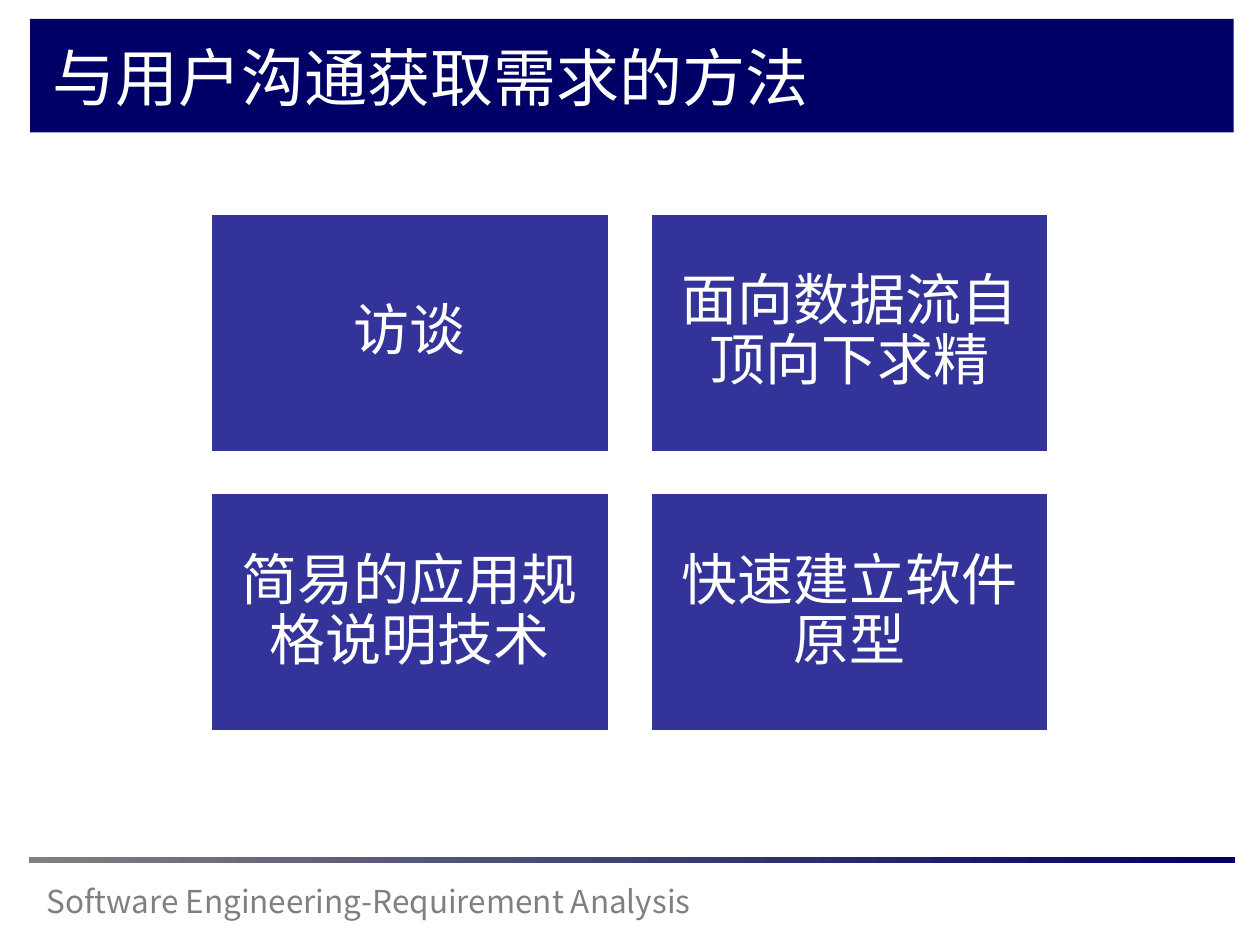
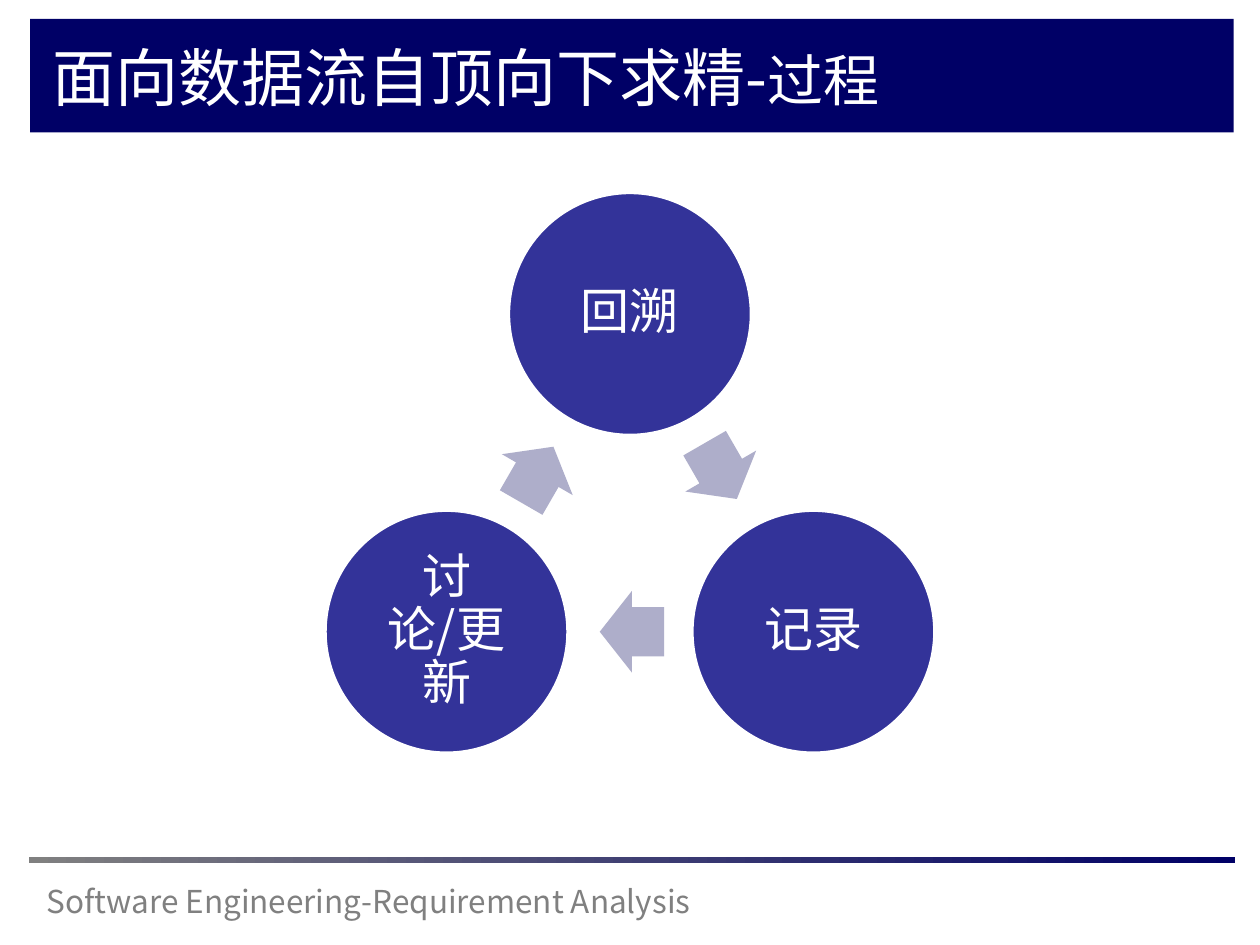
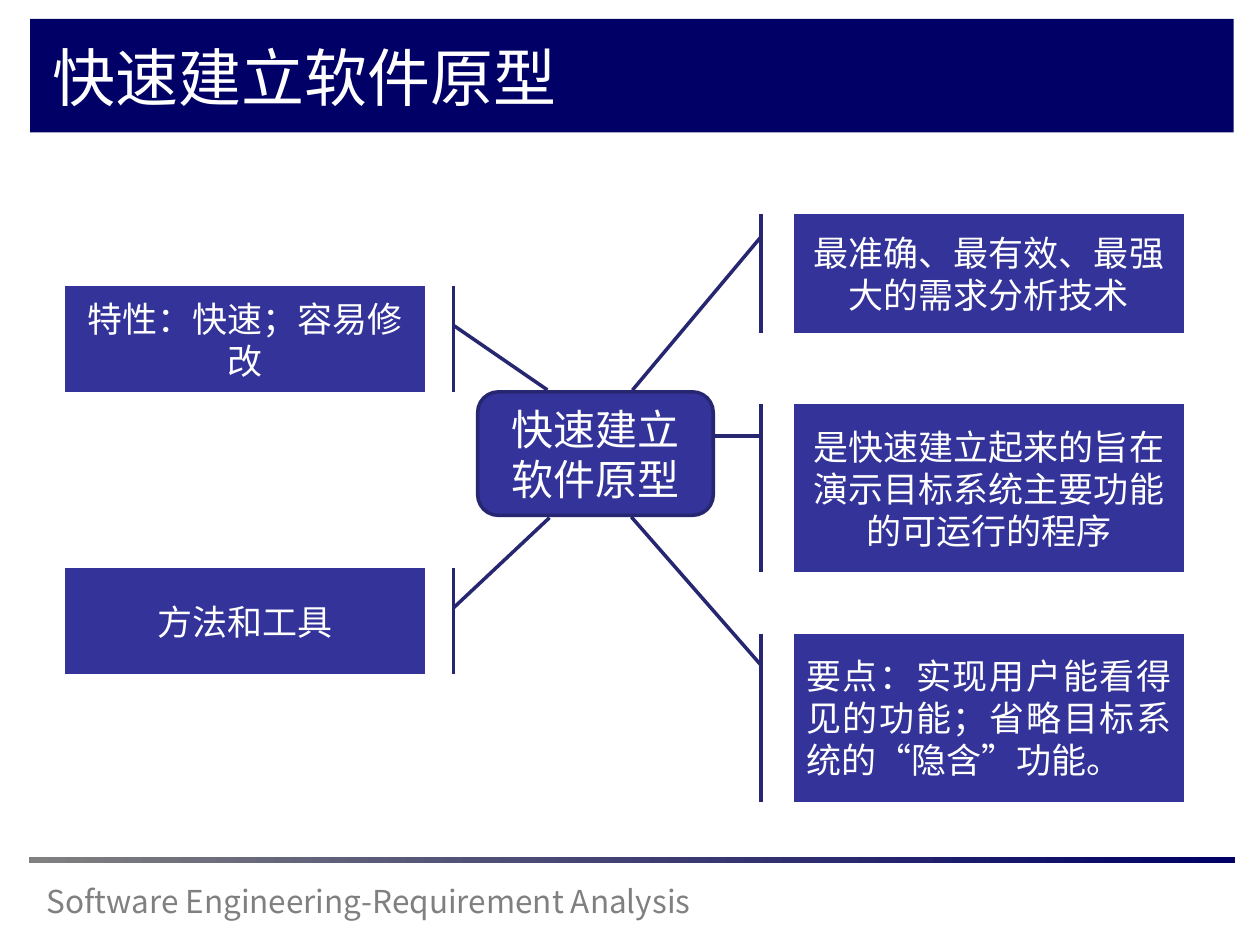
import math

from pptx import Presentation
from pptx.dml import color
from pptx.enum import shapes, text
from pptx.oxml import ns
from pptx.util import Cm, Pt
from lxml import etree

FONT = "Noto Sans CJK SC"
NAVY = "000066"
INDIGO = "333399"
OUTLINE = "262671"
LAVENDER = "AEAECA"
GRAY = "808080"
WHITE = "FFFFFF"

FOOTER = "Software Engineering-Requirement Analysis"
KIND = shapes.MSO_SHAPE
ALIGN = text.PP_ALIGN


def rgb(hex_color):
    return color.RGBColor.from_string(hex_color)


def style_paragraph(paragraph, size, hex_color, align=ALIGN.LEFT, spacing=None):
    paragraph.alignment = align
    if spacing:
        paragraph.line_spacing = spacing
    font = paragraph.font
    font.size = Pt(size)
    font.color.rgb = rgb(hex_color)
    font.name = FONT
    properties = paragraph._p.pPr.find(ns.qn("a:defRPr"))
    etree.SubElement(properties, ns.qn("a:ea"), typeface=FONT)


def add_block(slide, kind, box, fill=None, line=None, adjustments=()):
    """Add a preset shape; box is left, top, width, height in centimetres."""
    shape = slide.shapes.add_shape(kind, *map(Cm, box))
    shape.shadow.inherit = False
    if fill:
        shape.fill.solid()
        shape.fill.fore_color.rgb = rgb(fill)
    if line:
        shape.line.color.rgb = rgb(line)
        shape.line.width = Pt(2)
    else:
        shape.line.fill.background()
    for index, value in enumerate(adjustments):
        shape.adjustments[index] = value
    return shape


def write_label(shape, label, size, align=ALIGN.CENTER, inset=None, spacing=None):
    """Write white text, vertically centred, inside a shape."""
    frame = shape.text_frame
    frame.word_wrap = True
    frame.vertical_anchor = text.MSO_ANCHOR.MIDDLE
    if inset is not None:
        frame.margin_left = frame.margin_right = Cm(inset)
        frame.margin_top = frame.margin_bottom = Cm(inset)
    paragraph = frame.paragraphs[0]
    paragraph.add_run().text = label
    style_paragraph(paragraph, size, WHITE, align, spacing)


def add_text(slide, box, content, size, hex_color):
    frame = slide.shapes.add_textbox(*map(Cm, box)).text_frame
    frame.word_wrap = True
    paragraph = frame.paragraphs[0]
    paragraph.add_run().text = content
    style_paragraph(paragraph, size, hex_color)
    return paragraph


def add_slide(presentation, title, suffix=None):
    """Add a slide with title band, footer and rule; suffix is smaller title text."""
    slide = presentation.slides.add_slide(presentation.slide_layouts[6])
    add_block(slide, KIND.RECTANGLE, (0.61, 0.38, 24.26, 2.29), NAVY)
    add_text(slide, (0.69, 17.65, 14, 1.02), FOOTER, 18, GRAY)

    rule = add_block(slide, KIND.RECTANGLE, (0.58, 17.27, 24.31, 0.13))
    rule.fill.gradient()
    rule.fill.gradient_angle = 0
    for stop, hex_color in zip(rule.fill.gradient_stops, (GRAY, NAVY)):
        stop.color.rgb = rgb(hex_color)

    heading = add_text(slide, (0.81, 0.66, 22.38, 1.88), title, 36, WHITE)
    if suffix:
        run = heading.add_run()
        run.text = suffix
        run.font.size = Pt(32)
    return slide


def add_card_grid(slide, labels):
    left, top, width, height, gap = 4.24, 4.29, 8.05, 4.83, 0.81
    for index, label in enumerate(labels):
        row, column = divmod(index, 2)
        box = (left + column * (width + gap), top + row * (height + gap), width, height)
        card = add_block(slide, KIND.RECTANGLE, box, INDIGO, WHITE)
        write_label(card, label, 32, inset=0.33, spacing=0.9)


def add_cycle(slide, labels):
    """Place circles clockwise around a centre, with an arrow after each."""
    center_x, center_y, radius, diameter = 12.7, 10.6, 4.27, 4.9
    arrow_width, arrow_height, setback = 1.3, 1.65, 0.04
    step = 360 / len(labels)
    angles = [math.radians(index * step - 90) for index in range(len(labels))]
    points = [(center_x + radius * math.cos(angle), center_y + radius * math.sin(angle))
              for angle in angles]
    for index, (label, (x, y)) in enumerate(zip(labels, points)):
        box = (x - diameter / 2, y - diameter / 2, diameter, diameter)
        circle = add_block(slide, KIND.OVAL, box, INDIGO, WHITE)
        write_label(circle, label, 28, inset=0.1, spacing=0.9)

        next_x, next_y = points[(index + 1) % len(points)]
        direction = math.atan2(next_y - y, next_x - x)
        arrow_x = (x + next_x) / 2 - setback * math.cos(direction)
        arrow_y = (y + next_y) / 2 - setback * math.sin(direction)
        box = (arrow_x - arrow_width / 2, arrow_y - arrow_height / 2,
               arrow_width, arrow_height)
        arrow = add_block(slide, KIND.RIGHT_ARROW, box, LAVENDER, adjustments=(0.6, 0.5))
        arrow.rotation = math.degrees(direction) % 360


def add_callout(slide, label, box, adjustments, align=ALIGN.CENTER):
    callout = add_block(slide, KIND.LINE_CALLOUT_1_ACCENT_BAR, box,
                        INDIGO, OUTLINE, adjustments)
    write_label(callout, label, 20, align)


def add_prototype_map(slide):
    hub = add_block(slide, KIND.ROUNDED_RECTANGLE, (9.63, 7.9, 4.75, 2.49), INDIGO, OUTLINE)
    write_label(hub, "快速建立软件原型", 24)

    right_callouts = [
        ("最准确、最有效、最强大的需求分析技术", 4.32, 2.39, (1.484, -0.413), ALIGN.CENTER),
        ("是快速建立起来的旨在演示目标系统主要功能的可运行的程序",
         8.15, 3.38, (0.188, -0.207), ALIGN.CENTER),
        ("要点：实现用户能看得见的功能；省略目标系统的“隐含”功能。",
         12.78, 3.38, (-0.698, -0.416), ALIGN.JUSTIFY),
    ]
    for label, top, height, tip, align in right_callouts:
        add_callout(slide, label, (16, top, 7.87, height), (0.188, -0.083, *tip), align)

    left_callouts = [
        ("方法和工具", 11.46, (-0.481, 1.348)),
        ("特性：快速；容易修改", 5.77, (0.982, 1.342)),
    ]
    for label, top, tip in left_callouts:
        add_callout(slide, label, (1.32, top, 7.24, 2.13), (0.372, 1.081, *tip))


def main():
    presentation = Presentation()
    presentation.slide_width = Cm(25.4)
    presentation.slide_height = Cm(19.05)

    methods = add_slide(presentation, "与用户沟通获取需求的方法")
    add_card_grid(methods, ["访谈", "面向数据流自顶向下求精",
                            "简易的应用规格说明技术", "快速建立软件原型"])

    process = add_slide(presentation, "面向数据流自顶向下求精-", "过程")
    add_cycle(process, ["回溯", "记录", "讨论/更新"])

    prototype = add_slide(presentation, "快速建立软件原型")
    add_prototype_map(prototype)

    presentation.save("out.pptx")


if __name__ == "__main__":
    main()
